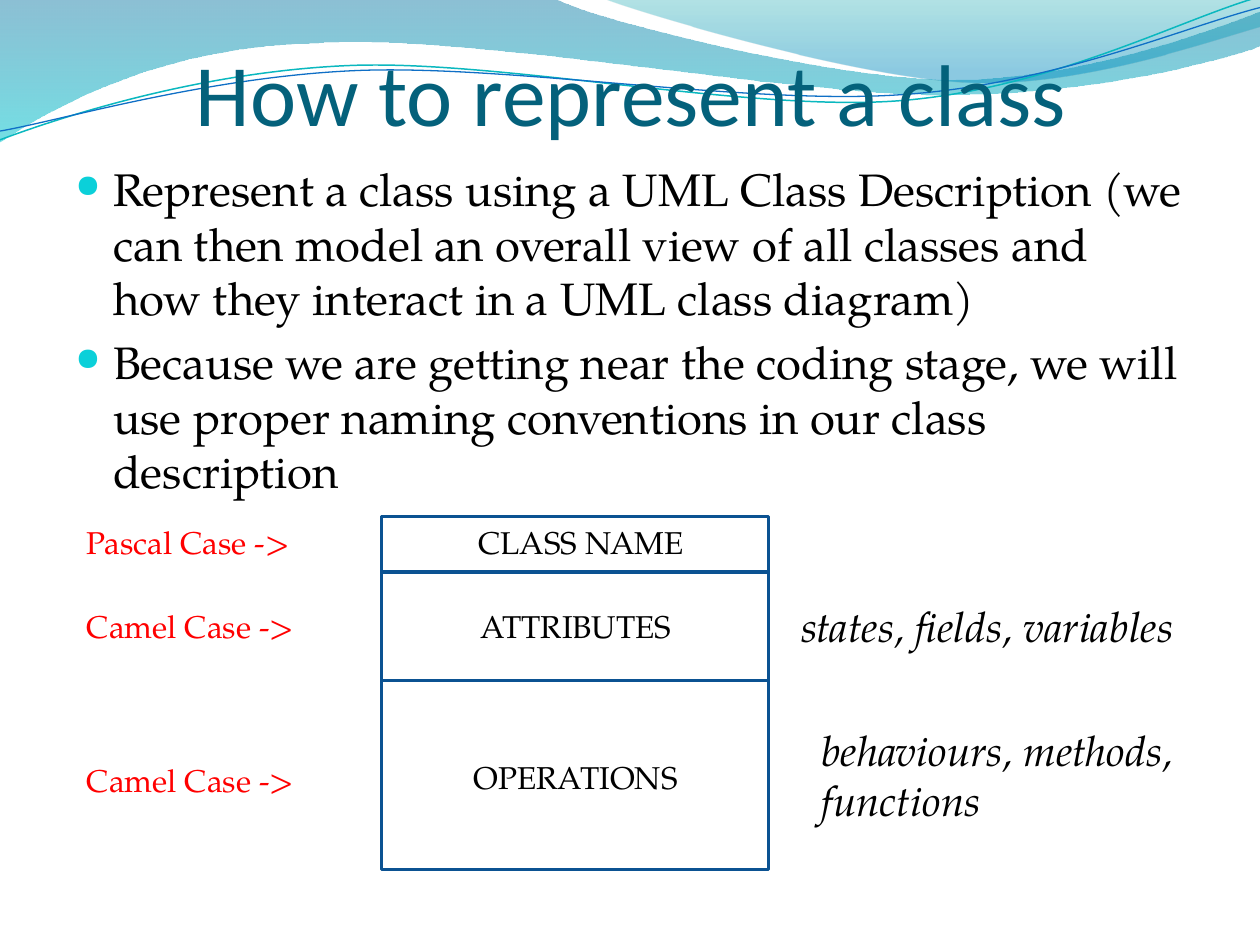
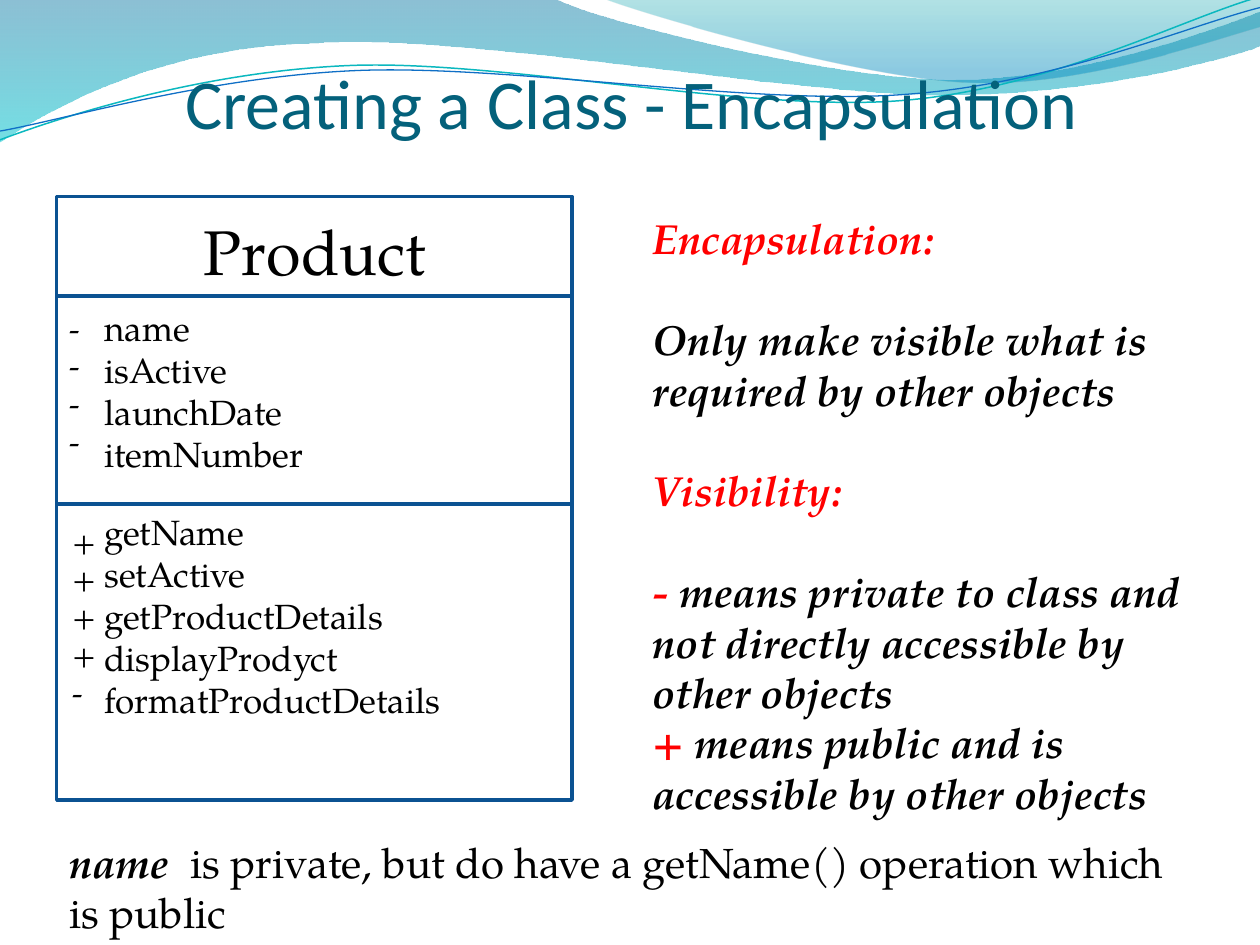
import math

from lxml import etree
from pptx import Presentation
from pptx import util as u
from pptx.dml.color import RGBColor
from pptx.enum import shapes, text
from pptx.oxml import ns

PX = 9144  # 100 px to the inch
SERIF, SANS = "TeX Gyre Pagella", "Calibri"
BLACK, RED, TITLE, BORDER, BULLET = "000000", "FF0000", "04617B", "0B5292", "0BD0D9"
TILT = 2.7  # degrees by which the thin wave lines lean
color = RGBColor.from_string

# Each wave: start point, then segments of one point (line) or three (Bezier curve)
WAVES = [
    dict(start=(0, 0),
         stops=[(0, "0074A1", 45), (1, "00C6CF", 55)],
         segments=[[(440, -1)],
                   [(476, 17), (664, 63), (758, 63)],
                   [(853, 63), (958, 26), (1000, 9)],
                   [(1001, 36)],
                   [(983, 44), (870, 76), (746, 75)],
                   [(622, 75), (382, 28), (257, 34)],
                   [(129, 36), (46, 83), (-1, 113)],
                   [(0, 0)]]),
    dict(start=(479, -1),
         stops=[(0, "00A1A9", 30), (0.8, "008BBF", 45)],
         segments=[[(509, 11), (682, 62), (769, 65)],
                   [(856, 69), (961, 32), (1000, 21)],
                   [(1000, 0)],
                   [(479, -1)]]),
    dict(start=(0, 111), line=("0AB8BF", 0.85), center=(499, 57.5),
         segments=[[(48, 93), (158, 57), (277, 52)],
                   [(395, 47), (593, 89), (713, 80)],
                   [(833, 71), (938, 15), (998, -2)]]),
    dict(start=(0, 104), line=("0F6FC6", 0.75), center=(499.5, 59),
         segments=[[(47, 96), (164, 61), (283, 56)],
                   [(403, 51), (597, 84), (717, 75)],
                   [(836, 67), (941, 21), (1000, 6)]]),
]


def add_text(slide, box, paragraphs, size, align="LEFT", gaps=(), **look):
    """Paragraphs are strings or lists of (text, format) runs; gaps are points before each."""
    frame = slide.shapes.add_textbox(*(n * PX for n in box)).text_frame
    frame.word_wrap = True
    for index, runs in enumerate(paragraphs):
        para = frame.paragraphs[0] if index == 0 else frame.add_paragraph()
        para.alignment = getattr(text.PP_ALIGN, align)
        if index < len(gaps) and gaps[index]:
            para.space_before = u.Pt(gaps[index])
        for words, own in [(runs, {})] if isinstance(runs, str) else runs:
            run = para.add_run()
            run.text = words
            settings = dict(name=SERIF, color=BLACK, size=u.Pt(size)) | look | own
            run.font.color.rgb = color(settings.pop("color"))
            for key, value in settings.items():
                setattr(run.font, key, value)
    return frame


def add_wave(slide, start, segments, center=None):
    """Draw a path of lines and Bezier curves; one with a center is stored level, then tilted."""
    points = [start] + [point for segment in segments for point in segment]
    if center:
        cx, cy = center
        cos, sin = math.cos(math.radians(TILT)), math.sin(math.radians(TILT))
        points = [(cx + (x - cx) * cos - (y - cy) * sin,
                   cy + (x - cx) * sin + (y - cy) * cos) for x, y in points]
    first, *rest = [(x * PX, y * PX) for x, y in points]
    builder = slide.shapes.build_freeform(*first, scale=1.0)
    builder.add_line_segments(rest, close=not center)
    wave = builder.convert_to_shape()
    wave.shadow.inherit = False
    wave.rotation = -TILT if center else 0

    steps = iter(list(wave._element.spPr.iter(ns.qn("a:lnTo"))))
    for segment in segments:
        step = next(steps)
        if len(segment) == 3:
            step_curve = etree.Element(ns.qn("a:cubicBezTo"))
            step.addprevious(step_curve)
            for control in (step, next(steps), next(steps)):
                step_curve.append(control[0])
                control.getparent().remove(control)
    return wave


prs = Presentation()
prs.slide_width, prs.slide_height = 1000 * PX, 750 * PX

# Title, title size, title top, and left, width and edges of the class box
pages = []
for title, title_size, title_top, left, width, edges in [
    ("How to represent a class", 50, 13, 303, 307, (410, 454, 540, 690)),
    ("Creating a Class - Encapsulation", 40, 44, 45, 409, (156, 235, 400, 635)),
]:
    slide = prs.slides.add_slide(prs.slide_layouts[6])
    pages.append(slide)

    for wave in WAVES:
        ribbon = add_wave(slide, wave["start"], wave["segments"], wave.get("center"))
        if "stops" in wave:
            ribbon.line.fill.background()
            ribbon.fill.gradient()
            ribbon.fill.gradient_angle = 270
            for stop, (position, tint, opacity) in zip(ribbon.fill.gradient_stops, wave["stops"]):
                stop.position = position
                stop.color.rgb = color(tint)
            for tint, (_, _, opacity) in zip(ribbon._element.spPr.iter(ns.qn("a:srgbClr")),
                                             wave["stops"]):
                etree.SubElement(tint, ns.qn("a:alpha"), val=str(opacity * 1000))
        else:
            ribbon.fill.background()
            tint, weight = wave["line"]
            ribbon.line.color.rgb = color(tint)
            ribbon.line.width = u.Pt(weight)

    heading = add_text(slide, (51, title_top, 900, 114 - title_top), [title], title_size,
                       "CENTER", name=SANS, color=TITLE)
    for key, value in dict(vertical_anchor=text.MSO_ANCHOR.BOTTOM, margin_left=0,
                           margin_right=0, margin_bottom=0).items():
        setattr(heading, key, value)

    for top, bottom in zip(edges, edges[1:]):
        compartment = slide.shapes.add_shape(shapes.MSO_SHAPE.RECTANGLE, left * PX, top * PX,
                                             width * PX, (bottom - top) * PX)
        compartment.shadow.inherit = False
        compartment.fill.background()
        compartment.line.color.rgb = color(BORDER)
        compartment.line.width = u.Pt(2)

represent, encapsulation = pages

# Slide 1: the parts of a class description
points = add_text(represent, (50, 123, 900, 569), [
    "Represent a class using a UML Class Description (we can then model an overall view "
    "of all classes and how they interact in a UML class diagram)",
    "Because we are getting near the coding stage, we will use proper naming conventions "
    "in our class description",
], 26, gaps=(0, 5.2))
for point in points.paragraphs:
    props = point._p.get_or_add_pPr()
    props.set("marL", str(30 * PX))
    props.set("indent", str(-30 * PX))
    bullet_color = etree.SubElement(props, ns.qn("a:buClr"))
    etree.SubElement(bullet_color, ns.qn("a:srgbClr"), val=BULLET)
    etree.SubElement(props, ns.qn("a:buSzPct"), val="70000")
    etree.SubElement(props, ns.qn("a:buChar"), char="●")

for part, part_left, part_top, case, case_top in [
    ("CLASS NAME", 335, 410, "Pascal Case ->", 410),
    ("ATTRIBUTES", 331, 477, "Camel Case ->", 477),
    ("OPERATIONS", 331, 597, "Camel Case ->", 599),
]:
    add_text(represent, (part_left, part_top, 252, 40), [part], 18, "CENTER")
    add_text(represent, (59, case_top, 213, 40), [case], 18, color=RED)

add_text(represent, (626, 472, 354, 50), ["states, fields, variables"], 24, italic=True)
add_text(represent, (642, 570, 315, 91), ["behaviours, methods, functions"], 24, italic=True)

# Slide 2: the Product class and its visibility marks
add_text(encapsulation, (73, 164, 354, 71), ["Product"], 36, "CENTER")
add_text(encapsulation, (73, 238, 382, 145),
         ["name", "isActive", "launchDate", "itemNumber"], 20)
add_text(encapsulation, (73, 400, 382, 178),
         ["getName", "setActive", "getProductDetails", "displayProdyct",
          "formatProductDetails"], 20)
add_text(encapsulation, (45, 240, 28, 162), list("----"), 18)
add_text(encapsulation, (48, 409, 25, 162), list("++++-"), 18)

red = dict(color=RED)
add_text(encapsulation, (508, 164, 441, 495), [
    [("Encapsulation:", red)],
    "Only make visible what is required by other objects",
    [("Visibility:", red)],
    [("- ", red), ("means private to class and not directly accessible by other objects", {})],
    [("+ ", red), ("means public and is accessible by other objects", {})],
], 24, gaps=(0, 28.8, 28.8, 28.8), bold=True, italic=True)

add_text(encapsulation, (45, 659, 904, 91), [
    [("name ", dict(bold=True, italic=True)),
     (" is private, but do have a getName() operation which is public", {})],
], 24)

prs.save("out.pptx")
